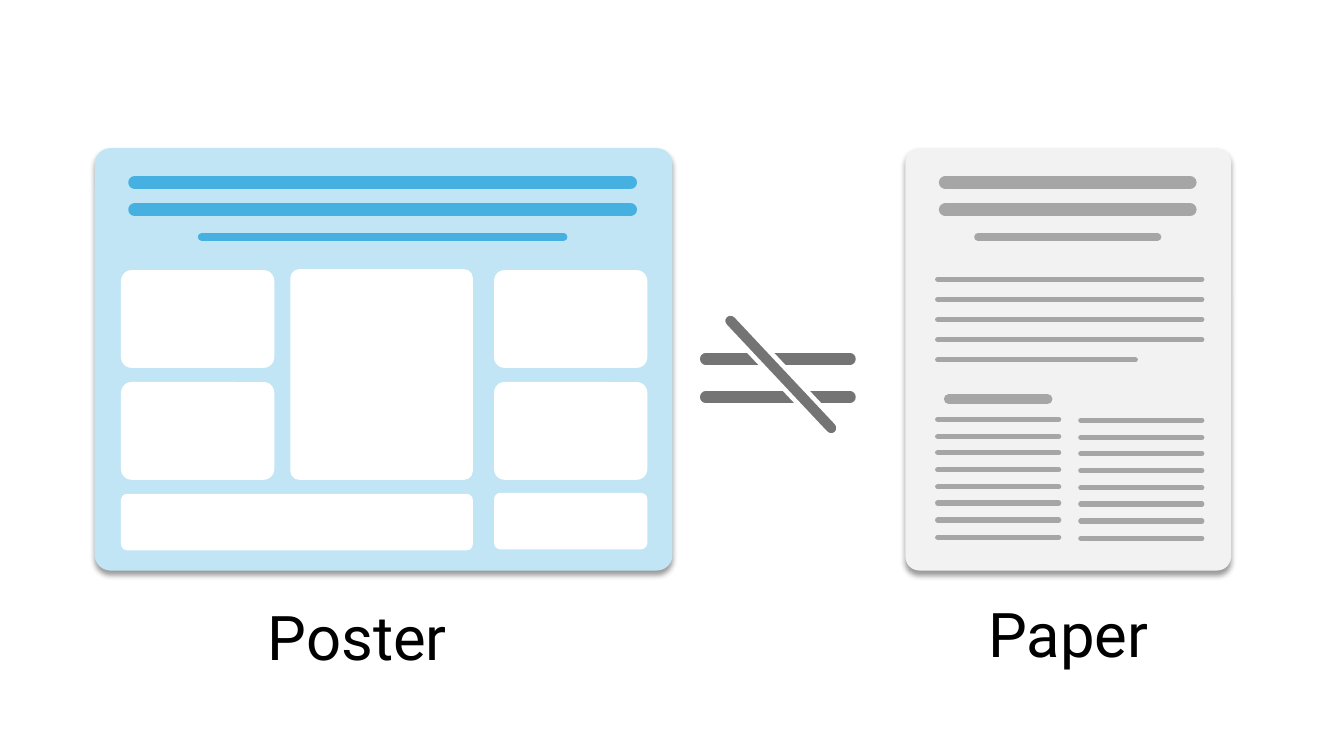
from dataclasses import dataclass

from lxml import etree
from pptx import Presentation
from pptx import util as u
from pptx.dml.color import RGBColor
from pptx.enum import shapes, text
from pptx.oxml.ns import qn

SCALE = 9144


@dataclass(frozen=True)
class Theme:
    """Colours, font and sizes in points."""
    white: str = "FFFFFF"
    black: str = "000000"
    sheet: str = "F2F2F2"
    ink: str = "A6A6A6"
    board: str = "C1E5F5"
    blue: str = "46B1E1"
    sign: str = "747474"
    font: str = "Roboto"
    label: float = 44
    title: float = 9.75
    author: float = 5.5
    head: float = 7
    body: float = 3.75
    bar: float = 8.25
    edge: float = 3.25


THEME = Theme()


def px(n):
    """Turn px into EMU."""
    return u.Emu(n * SCALE)


def add_card(group, box, round_px, fill):
    """Add a borderless rounded box with a corner radius in px."""
    card = group.shapes.add_shape(
        shapes.MSO_SHAPE.ROUNDED_RECTANGLE, *map(px, box))
    card.adjustments[0] = round(round_px / min(box[2:]), 3)
    card.fill.solid()
    card.fill.fore_color.rgb = RGBColor.from_string(fill)
    card.line.fill.background()
    card.shadow.inherit = False
    return card


def add_shade(card):
    """Give a card a soft shadow that falls straight down."""
    effects = card._element.spPr.find(qn("a:effectLst"))
    shade = etree.SubElement(
        effects, qn("a:outerShdw"), blurRad=str(u.Pt(4)), dist=str(u.Pt(3)),
        dir="5400000", algn="t", rotWithShape="0")
    color = etree.SubElement(shade, qn("a:srgbClr"), val=THEME.black)
    etree.SubElement(color, qn("a:alpha"), val="40000")


def add_rule(group, left, right, y, color, width):
    """Add a level line with round ends."""
    rule = group.shapes.add_connector(
        shapes.MSO_CONNECTOR.STRAIGHT, px(left), px(y), px(right), px(y))
    rule.line.color.rgb = RGBColor.from_string(color)
    rule.line.width = u.Pt(width)
    props = rule._element.spPr
    props.find(qn("a:ln")).set("cap", "rnd")
    etree.SubElement(props, qn("a:effectLst"))


def add_title(group, wide, short, color):
    """Add two title lines and a shorter author line."""
    for y in (181, 208):
        add_rule(group, *wide, y, color, THEME.title)
    add_rule(group, *short, 235, color, THEME.author)


def add_paper(slide):
    """Draw the paper page with its lines of text."""
    group = slide.shapes.add_group_shape()
    add_shade(add_card(group, (898, 147, 323, 419), 14, THEME.sheet))
    add_title(group, (938, 1180), (970, 1148), THEME.ink)
    for row in range(5):
        right = 1126 if row == 4 else 1192
        add_rule(group, 930, right, 277 + 20 * row, THEME.ink, THEME.body)
    add_rule(group, 941, 1039, 396, THEME.ink, THEME.head)
    for left, top in ((930, 416), (1072, 417)):
        for row in range(8):
            y = top + round(row * 50 / 3)
            add_rule(group, left, left + 120, y, THEME.ink, THEME.body)


def add_poster(slide):
    """Draw the poster board with its panels."""
    group = slide.shapes.add_group_shape()
    add_shade(add_card(group, (94, 147, 573, 419), 15.5, THEME.board))
    add_title(group, (134, 625), (200, 559), THEME.blue)
    for left in (120, 490):
        for top in (268, 379):
            add_card(group, (left, top, 152, 97), 10.6, THEME.white)
    add_card(group, (288, 267, 181, 209), 8.7, THEME.white)
    add_card(group, (120, 490, 349, 56), 6.1, THEME.white)
    add_card(group, (490, 489, 152, 56), 6.1, THEME.white)


def add_sign(slide):
    """Draw the unequal sign."""
    group = slide.shapes.add_group_shape()
    for y in (356, 394):
        add_rule(group, 700, 843, y, THEME.sign, THEME.bar)
    slash = add_card(group, (694, 364, 161, 15), 7.5, THEME.sign)
    slash.rotation = 46.8
    slash.line.color.rgb = RGBColor.from_string(THEME.white)
    slash.line.width = u.Pt(THEME.edge)


def add_label(slide, left, top, words):
    """Add a large centred label."""
    frame = slide.shapes.add_textbox(
        px(left), px(top), px(347), px(145)).text_frame
    frame.word_wrap = True
    frame.vertical_anchor = text.MSO_ANCHOR.MIDDLE
    para = frame.paragraphs[0]
    para.text = words
    para.alignment = text.PP_ALIGN.CENTER
    para.line_spacing = 0.9
    para.font.name = THEME.font
    para.font.size = u.Pt(THEME.label)
    para.font.color.rgb = RGBColor.from_string(THEME.black)


def main():
    """Build and save the slide."""
    deck = Presentation()
    deck.slide_width, deck.slide_height = px(1333), px(750)
    slide = deck.slides.add_slide(deck.slide_layouts[6])
    add_paper(slide)
    add_poster(slide)
    add_sign(slide)
    add_label(slide, 181, 563, "Poster")
    add_label(slide, 886, 560, "Paper")
    deck.save("out.pptx")


if __name__ == "__main__":
    main()
